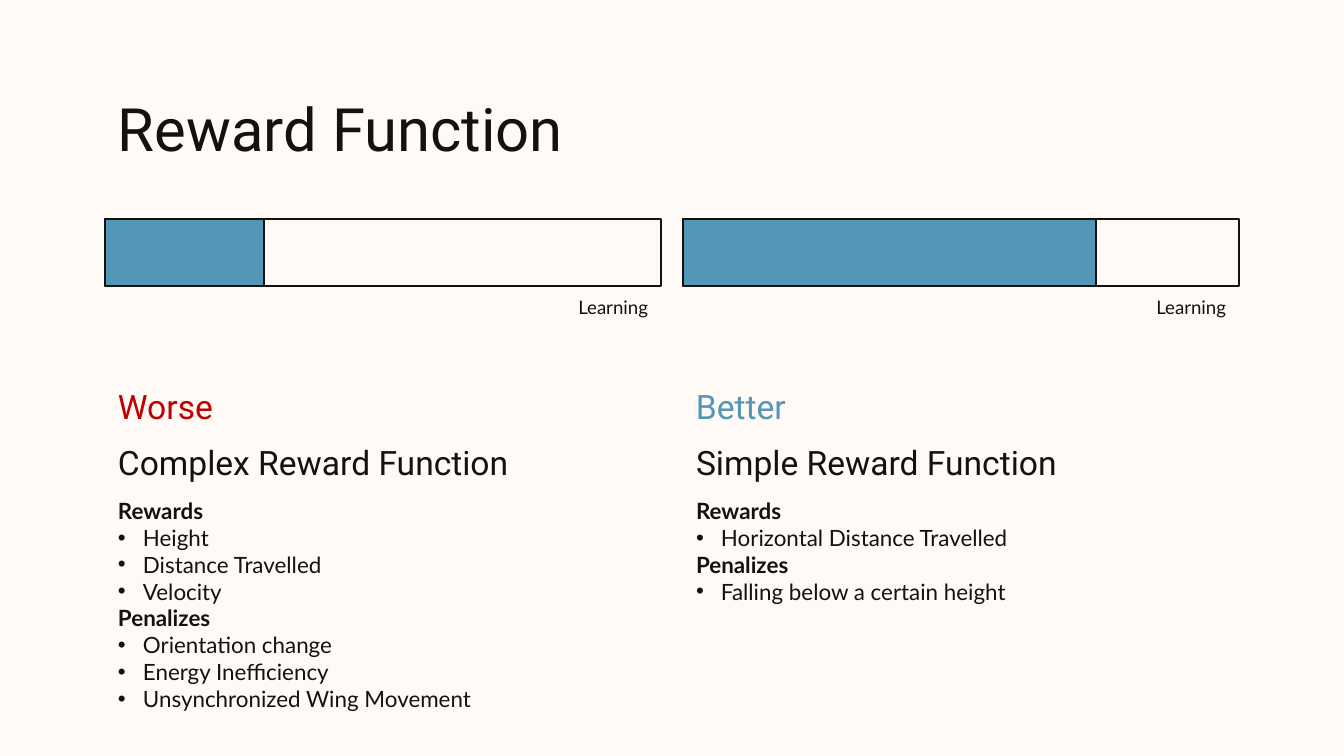
from lxml.etree import SubElement
from pptx import Presentation
from pptx.dml.color import RGBColor
from pptx.enum.shapes import MSO_SHAPE as Shape
from pptx.enum.text import MSO_ANCHOR as Anchor, MSO_AUTO_SIZE as AutoSize, PP_ALIGN as Align
from pptx.oxml.ns import qn
from pptx.util import Emu, Pt

INK = RGBColor(0x15, 0x11, 0x0E)
CREAM = RGBColor(0xFF, 0xFA, 0xF6)
BLUE = RGBColor(0x52, 0x96, 0xB8)
RED = RGBColor(0xC0, 0x00, 0x00)
HEADING_FONT = "Roboto"
BODY_FONT = "Lato"
EMU_PER_PX = 914400 / 134.4
INSET = 13
INDENT = 25
COLUMN_WIDTH = 556


def px(length):
    return Emu(round(length * EMU_PER_PX))


class RewardSlide:
    def __init__(self, deck):
        self.slide = deck.slides.add_slide(deck.slide_layouts[4])
        self.slide.background.fill.solid()
        self.slide.background.fill.fore_color.rgb = CREAM

    def place(self, shape, left, top, width, height, anchor):
        shape.left, shape.top = px(left), px(top)
        shape.width, shape.height = px(width), px(height)
        frame = shape.text_frame
        frame.margin_left = frame.margin_right = px(INSET)
        frame.margin_top = frame.margin_bottom = px(INSET)
        frame.word_wrap = True
        frame.auto_size = AutoSize.NONE
        frame.vertical_anchor = anchor
        return frame

    def style(self, paragraph, text, size, font, color=INK, bold=False, align=Align.LEFT, bullet=False):
        paragraph.text = text
        paragraph.alignment = align
        paragraph.space_before = Pt(0)
        properties = paragraph._p.get_or_add_pPr()
        indent = px(INDENT) if bullet else 0
        properties.set("marL", str(indent))
        properties.set("indent", str(-indent))
        if bullet:
            bullet_color = SubElement(properties, qn("a:buClr"))
            SubElement(bullet_color, qn("a:srgbClr"), val=str(color))
            SubElement(properties, qn("a:buChar"), char="•")
        else:
            SubElement(properties, qn("a:buNone"))
        paragraph.font.size = Pt(size)
        paragraph.font.name = font
        paragraph.font.bold = bold
        paragraph.font.color.rgb = color

    def placeholder_text(self, index, text, size, box, anchor):
        frame = self.place(self.slide.placeholders[index], *box, anchor)
        self.style(frame.paragraphs[0], text, size, HEADING_FONT)

    def text_box(self, text, size, font, box, color=INK, align=Align.LEFT):
        label = self.slide.shapes.add_textbox(0, 0, 0, 0)
        frame = self.place(label, *box, Anchor.MIDDLE)
        self.style(frame.paragraphs[0], text, size, font, color, align=align)

    def criteria(self, index, groups, box):
        frame = self.place(self.slide.placeholders[index], *box, Anchor.TOP)
        lines = [(text, text == group) for group, items in groups.items() for text in (group, *items)]
        for number, (text, is_group) in enumerate(lines):
            paragraph = frame.add_paragraph() if number else frame.paragraphs[0]
            self.style(paragraph, text, 12, BODY_FONT, bold=is_group, bullet=not is_group)

    def bar(self, left, width, fill=None):
        bar = self.slide.shapes.add_shape(Shape.RECTANGLE, px(left), px(219), px(width), px(67))
        bar.shadow.inherit = False
        if fill is None:
            bar.fill.background()
        else:
            bar.fill.solid()
            bar.fill.fore_color.rgb = fill
        bar.line.color.rgb = INK
        bar.line.width = Pt(0.75)

    def column(self, left, first_index, learned, verdict, color, heading, groups, list_height):
        self.bar(left, COLUMN_WIDTH)
        self.bar(left, learned, BLUE)
        half = COLUMN_WIDTH // 2
        self.text_box("Learning", 10, BODY_FONT, (left + half, 287, half, 40), align=Align.RIGHT)
        self.text_box(verdict, 18, HEADING_FONT, (left, 373, COLUMN_WIDTH, 67), color)
        self.placeholder_text(first_index, heading, 18, (left, 428, COLUMN_WIDTH, 67), Anchor.BOTTOM)
        self.criteria(first_index + 1, groups, (left, 484, COLUMN_WIDTH, list_height))


def main():
    deck = Presentation()
    deck.slide_width, deck.slide_height = px(1344), px(756)
    page = RewardSlide(deck)
    page.placeholder_text(0, "Reward Function", 32, (105, 79, 1134, 81), Anchor.TOP)
    page.column(105, 1, 159, "Worse", RED, "Complex Reward Function", {
        "Rewards": ["Height", "Distance Travelled", "Velocity"],
        "Penalizes": ["Orientation change", "Energy Inefficiency", "Unsynchronized Wing Movement"],
    }, 238)
    page.column(683, 3, 413, "Better", BLUE, "Simple Reward Function", {
        "Rewards": ["Horizontal Distance Travelled"],
        "Penalizes": ["Falling below a certain height"],
    }, 132)
    deck.save("out.pptx")


if __name__ == "__main__":
    main()
